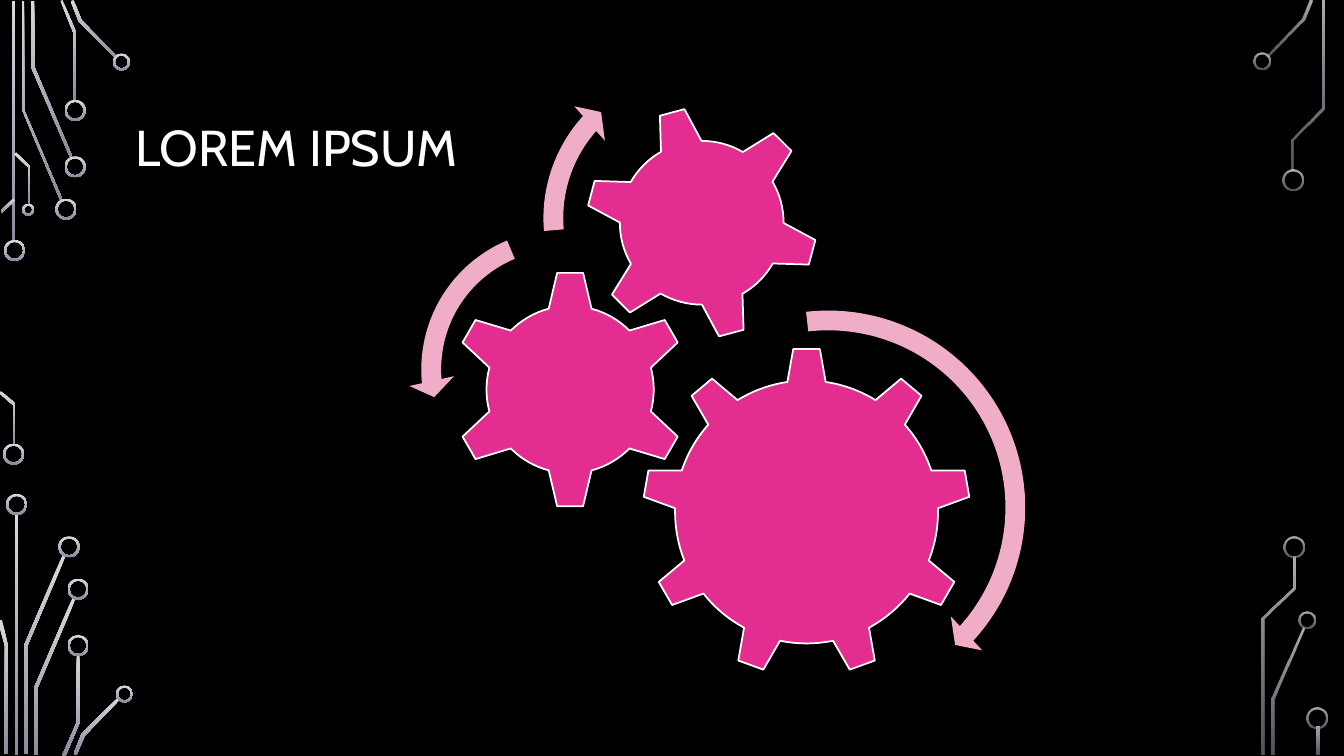
from dataclasses import dataclass

from lxml.etree import SubElement
from pptx import Presentation
from pptx.dml.color import RGBColor
from pptx.enum.shapes import MSO_SHAPE
from pptx.enum.text import MSO_ANCHOR
from pptx.oxml.ns import qn
from pptx.util import Inches, Pt


@dataclass
class Theme:
    back: str = "000000"
    text: str = "FFFFFF"
    edge: str = "FFFFFF"
    gear: str = "E32D91"
    arrow: str = "EFADC7"
    metal: tuple = ("D8D9DC", "8A8A9C")
    font: str = "Cabin"
    title: int = 36
    stroke: float = 1.25


SOLID = (100, 100)
FADED = (80, 60)
RIM = 0.02

LEFT_BARS = [(0.12, 0.01, 0.03, 2.39), (0.15, 5.1, 0.03, 2.39)]
LEFT_WIRES = [
    [(0.6, 1.99), (0.22, 1.09), (0.22, 0.01), (0.24, 0.01), (0.24, 1.09), (0.62, 1.98)],
    [(0.7, 1.57), (0.31, 0.67), (0.31, 0.01), (0.34, 0.01), (0.34, 0.66), (0.72, 1.56)],
    [(0.76, 1), (0.73, 1), (0.73, 0.33), (0.6, 0.01), (0.62, 0), (0.76, 0.33)],
    [(1.15, 0.58), (0.78, 0.21), (0.7, 0.01), (0.73, 0), (0.81, 0.2), (1.16, 0.56)],
    [(0.02, 2.11), (0.01, 2.09), (0.13, 1.97), (0.15, 1.99)],
    [(0.15, 4.41), (0.13, 4.41), (0.13, 4.02), (-0.01, 3.9), (0.01, 3.88), (0.15, 4)],
    [(0.3, 2.03), (0.28, 2.03), (0.28, 1.66), (0.14, 1.53), (0.16, 1.51), (0.3, 1.65)],
    [(0.27, 7.48), (0.24, 7.48), (0.24, 6.4), (0.62, 5.51), (0.65, 5.52), (0.27, 6.41)],
    [(0.08, 7.48), (0.05, 7.48), (0.05, 6.41), (-0.02, 6.16), (0.02, 6.15), (0.08, 6.41)],
    [(0.37, 7.49), (0.34, 7.49), (0.34, 6.82), (0.72, 5.93), (0.75, 5.94), (0.37, 6.83)],
    [(0.65, 7.5), (0.62, 7.49), (0.76, 7.17), (0.76, 6.5), (0.79, 6.5), (0.79, 7.17)],
    [(0.76, 7.49), (0.73, 7.48), (0.81, 7.28), (1.17, 6.92), (1.19, 6.94), (0.84, 7.3)],
]
LEFT_RINGS = [
    (0.04, 2.38, 0.21), (0.03, 4.4, 0.21), (0.55, 1.97, 0.21), (0.64, 1.55, 0.21),
    (0.64, 0.99, 0.21), (1.12, 0.53, 0.17), (0.22, 2.02, 0.12), (0.06, 4.9, 0.21),
    (0.58, 5.32, 0.21), (0.67, 5.74, 0.21), (0.67, 6.3, 0.21), (1.15, 6.8, 0.17),
]

RIGHT_BARS = [(13.06, 7.21, 0.03, 0.28)]
RIGHT_WIRES = [
    [(12.58, 0.56), (12.56, 0.55), (12.91, 0.19), (12.99, 0), (13.02, 0.01), (12.94, 0.2)],
    [(12.64, 7.49), (12.61, 7.49), (12.61, 6.93), (12.92, 6.23), (12.94, 6.24), (12.64, 6.94)],
    [(12.83, 1.69), (12.81, 1.69), (12.81, 1.38), (13.11, 1.07), (13.11, 0.01),
     (13.14, 0.01), (13.14, 1.08), (12.83, 1.39)],
    [(12.54, 7.49), (12.51, 7.49), (12.51, 6.13), (12.82, 5.83), (12.82, 5.52),
     (12.85, 5.52), (12.85, 5.84), (12.54, 6.14)],
]
RIGHT_RINGS = [
    (12.43, 0.52, 0.17), (12.72, 1.68, 0.21), (12.88, 6.07, 0.17),
    (12.73, 5.32, 0.21), (12.96, 7.02, 0.21),
]

GEARS = [
    (MSO_SHAPE.GEAR_9, 6.37, 3.45, 3.26, 0),
    (MSO_SHAPE.GEAR_6, 4.47, 2.68, 2.37, 0),
    (MSO_SHAPE.GEAR_6, 5.8, 1.05, 2.32, 345),
]
ARROWS = [
    (MSO_SHAPE.CIRCULAR_ARROW, 6.13, 2.95, 4.17, (0.047, 2.99, 25.393, 158.123, 0.055)),
    (MSO_SHAPE.LEFT_CIRCULAR_ARROW, 4.05, 2.15, 3.03, (0.065, 4.3, 104.891, 148.378, 0.075)),
    (MSO_SHAPE.CIRCULAR_ARROW, 5.26, 0.53, 3.27, (0.06, 3.941, 133.138, 105.082, 0.07)),
]


def tint(code):
    return RGBColor.from_string(code)


def apply(target, values):
    for name, value in values.items():
        setattr(target, name, value)


class Board:
    def __init__(self, slide, theme):
        self.slide = slide
        self.theme = theme
        self.host = slide.shapes
        slide.background.fill.solid()
        slide.background.fill.fore_color.rgb = tint(theme.back)

    def group(self):
        self.host = self.slide.shapes.add_group_shape().shapes

    def shape(self, kind, left, top, width, height):
        item = self.host.add_shape(kind, *map(Inches, (left, top, width, height)))
        item.shadow.inherit = False
        item.line.fill.background()
        return item

    def paint(self, item, color):
        item.fill.solid()
        item.fill.fore_color.rgb = tint(color)

    def shine(self, item, alphas):
        item.fill.gradient()
        item.fill.gradient_angle = 270
        for stop, color in zip(item.fill.gradient_stops, self.theme.metal):
            stop.color.rgb = tint(color)
        nodes = item.element.spPr.iter(qn("a:srgbClr"))
        for node, alpha in zip(list(nodes), alphas):
            if alpha < 100:
                SubElement(node, qn("a:alpha")).set("val", str(alpha * 1000))

    def bar(self, box, alphas):
        self.shine(self.shape(MSO_SHAPE.RECTANGLE, *box), alphas)

    def ring(self, left, top, size, alphas):
        item = self.shape(MSO_SHAPE.DONUT, left, top, size, size)
        item.adjustments[0] = RIM / size
        self.shine(item, alphas)

    def wire(self, points, alphas):
        first, *rest = [(Inches(x), Inches(y)) for x, y in points]
        pen = self.host.build_freeform(*first)
        pen.add_line_segments(rest, close=True)
        item = pen.convert_to_shape()
        item.shadow.inherit = False
        item.line.fill.background()
        self.shine(item, alphas)

    def circuit(self, bars, wires, rings, alphas):
        for box in bars:
            self.bar(box, alphas)
        for points in wires:
            self.wire(points, alphas)
        for spot in rings:
            self.ring(*spot, alphas)

    def gear(self, kind, left, top, size, turn):
        item = self.shape(kind, left, top, size, size)
        item.rotation = turn
        self.paint(item, self.theme.gear)
        item.line.color.rgb = tint(self.theme.edge)
        item.line.width = Pt(self.theme.stroke)

    def arrow(self, kind, left, top, size, bends):
        item = self.shape(kind, left, top, size, size)
        for index, bend in enumerate(bends):
            item.adjustments[index] = bend
        self.paint(item, self.theme.arrow)

    def title(self, words, left, top, width, height):
        box = self.slide.shapes.add_textbox(*map(Inches, (left, top, width, height)))
        frame = box.text_frame
        apply(frame, {"word_wrap": True, "vertical_anchor": MSO_ANCHOR.MIDDLE})
        line = frame.paragraphs[0]
        line.line_spacing = 0.9
        run = line.add_run()
        run.text = words
        apply(run.font, {"name": self.theme.font, "size": Pt(self.theme.title)})
        run.font.color.rgb = tint(self.theme.text)


def main():
    deck = Presentation()
    apply(deck, {"slide_width": Inches(13.33), "slide_height": Inches(7.5)})
    board = Board(deck.slides.add_slide(deck.slide_layouts[6]), Theme())
    board.group()
    board.circuit(LEFT_BARS, LEFT_WIRES, LEFT_RINGS, SOLID)
    board.circuit(RIGHT_BARS, RIGHT_WIRES, RIGHT_RINGS, FADED)
    board.title("LOREM IPSUM", 1.25, 0.68, 10.83, 1.62)
    board.group()
    for gear in GEARS:
        board.gear(*gear)
    for arrow in ARROWS:
        board.arrow(*arrow)
    deck.save("out.pptx")


if __name__ == "__main__":
    main()
